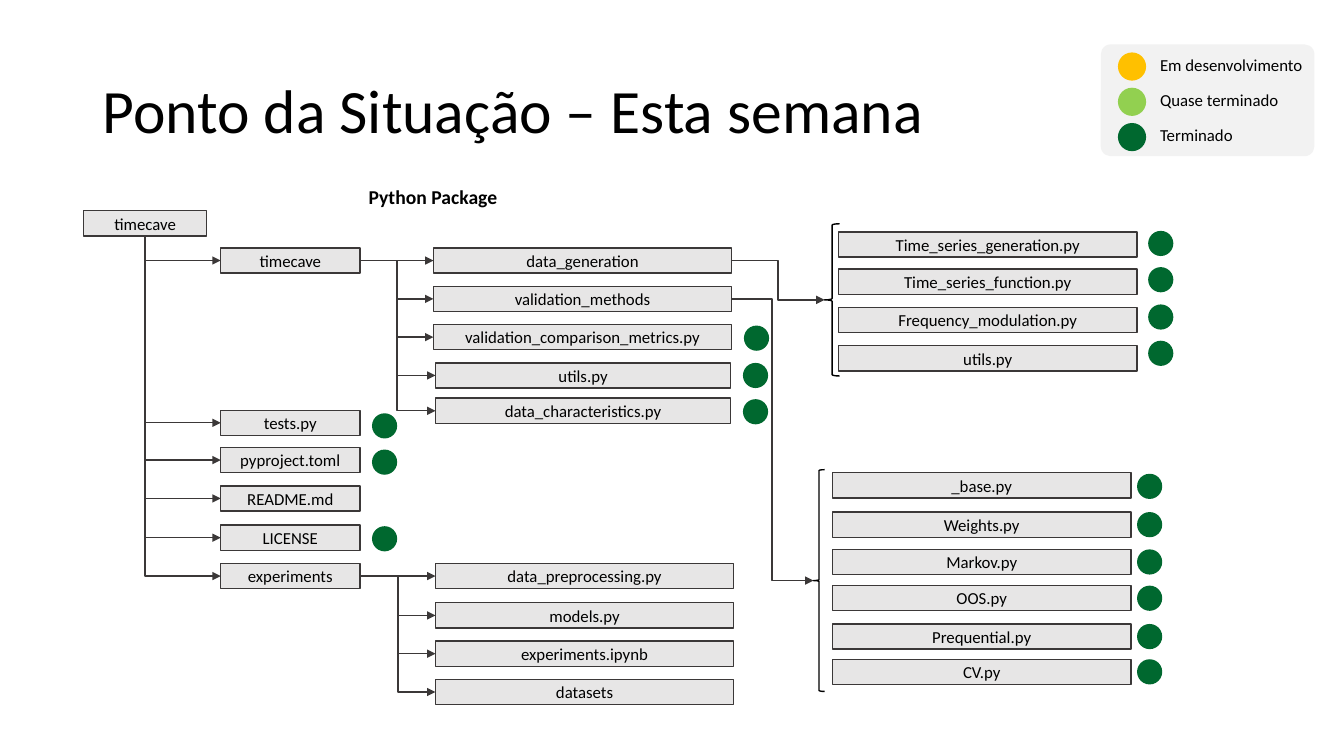
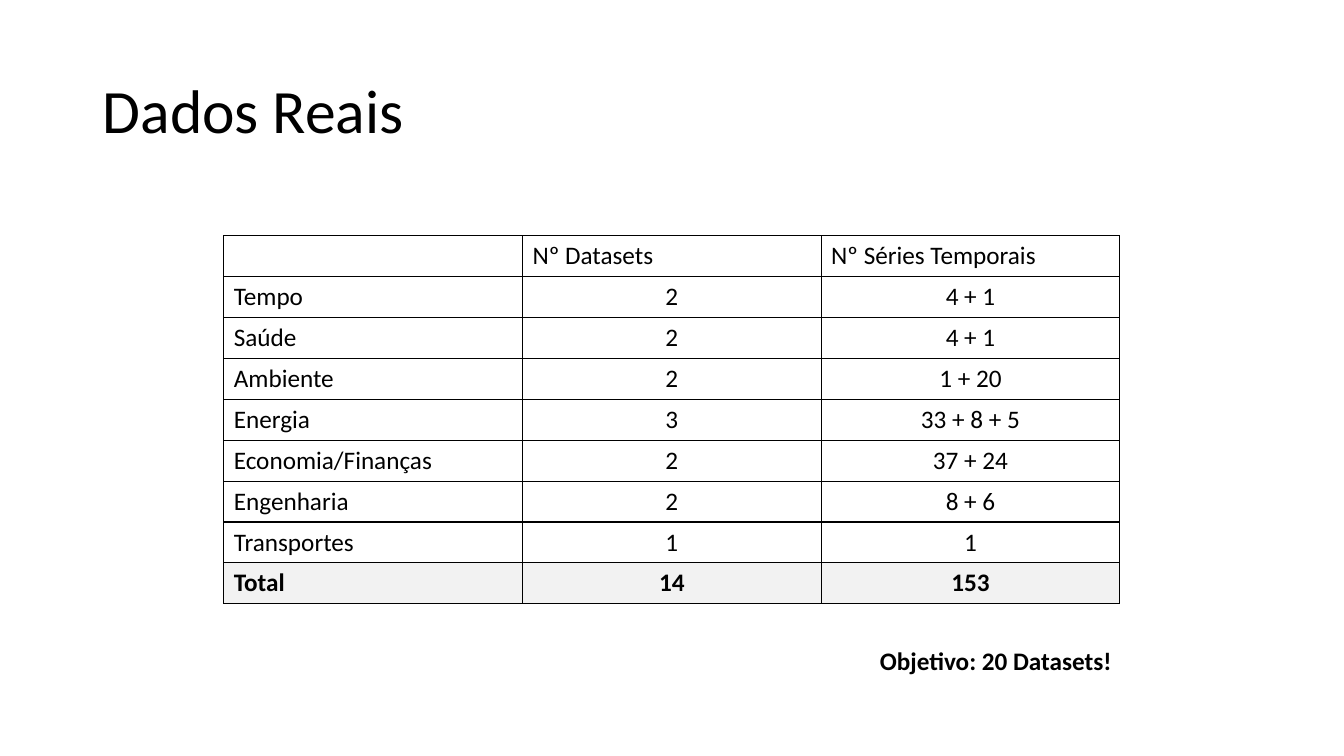
from lxml import etree
from pptx import Presentation
from pptx.dml.color import RGBColor
from pptx.enum.shapes import MSO_CONNECTOR, MSO_SHAPE
from pptx.enum.text import MSO_ANCHOR, PP_ALIGN
from pptx.oxml.ns import qn
from pptx.util import Inches, Pt

RECTANGLE, ROUNDED = MSO_SHAPE.RECTANGLE, MSO_SHAPE.ROUNDED_RECTANGLE
OVAL, LEFT_BRACE = MSO_SHAPE.OVAL, MSO_SHAPE.LEFT_BRACE
STRAIGHT, ELBOW = MSO_CONNECTOR.STRAIGHT, MSO_CONNECTOR.ELBOW
LEFT, CENTER = PP_ALIGN.LEFT, PP_ALIGN.CENTER
MIDDLE, TOP = MSO_ANCHOR.MIDDLE, MSO_ANCHOR.TOP
LEFT_SIDE, BOTTOM_SIDE, RIGHT_SIDE = 1, 2, 3

FONT = "Calibri"
BLACK = RGBColor(0x00, 0x00, 0x00)
OUTLINE = RGBColor(0x3B, 0x38, 0x38)
FILE_FILL = RGBColor(0xE7, 0xE6, 0xE6)
PANEL = RGBColor(0xF2, 0xF2, 0xF2)
IN_PROGRESS = RGBColor(0xFF, 0xC0, 0x00)
ALMOST_DONE = RGBColor(0x92, 0xD0, 0x50)
DONE = RGBColor(0x00, 0x68, 0x2F)

# All lengths are in cells of a square grid, ten to the inch.
CELL = Inches(0.1)
SLIDE_COLS, SLIDE_ROWS = 133.33, 75
TITLE_BOX = (9.2, 4, 115, 14.5)
FILE_HEIGHT = DOT_SIZE = 2.5
SCRIPT_WIDTH = 29.6

LEGEND = [("Em desenvolvimento", IN_PROGRESS),
          ("Quase terminado", ALMOST_DONE),
          ("Terminado", DONE)]

# Files: label, row offset and, when finished, row offset of the status dot.
ROOT = [("timecave", 0, None)]
TOP_LEVEL = [("timecave", 0, None), ("tests.py", 16.1, 16.4),
             ("pyproject.toml", 19.8, 20), ("README.md", 23.6, None),
             ("LICENSE", 27.5, 27.6), ("experiments", 31.3, None)]
MODULES = [("data_generation", 0, None), ("validation_methods", 3.8, None),
           ("validation_comparison_metrics.py", 7.6, 7.7)]
HELPERS = [("utils.py", 0, 0), ("data_characteristics.py", 3.5, 3.6)]
EXPERIMENTS = [("data_preprocessing.py", 0, None), ("models.py", 3.9, None),
               ("experiments.ipynb", 7.7, None), ("datasets", 11.5, None)]
GENERATION = [("Time_series_generation.py", 0, -0.1),
              ("Time_series_function.py", 3.7, 3.5),
              ("Frequency_modulation.py", 7.5, 7.2), ("utils.py", 11.3, 10.8)]
VALIDATION = [("_base.py", 0, 0.1), ("Weights.py", 3.9, 3.9),
              ("Markov.py", 7.6, 7.6), ("OOS.py", 11.2, 11.2),
              ("Prequential.py", 15, 15), ("CV.py", 18.5, 18.5)]

DATASETS = [("", "Nº Datasets", "Nº Séries Temporais"),
            ("Tempo", "2", "4 + 1"),
            ("Saúde", "2", "4 + 1"),
            ("Ambiente", "2", "1 + 20"),
            ("Energia", "3", "33 + 8 + 5"),
            ("Economia/Finanças", "2", "37 + 24"),
            ("Engenharia", "2", "8 + 6"),
            ("Transportes", "1", "1"),
            ("Total", "14", "153")]


def cells(*lengths):
    return [round(length * CELL) for length in lengths]


def write(frame, text, size, bold=False, align=LEFT):
    paragraph = frame.paragraphs[0]
    paragraph.alignment = align
    if text:
        run = paragraph.add_run()
        run.text = text
        run.font.name, run.font.size = FONT, Pt(size)
        run.font.bold, run.font.color.rgb = bold, BLACK
    return paragraph


def add_label(slide, box, text, size, bold=False, align=LEFT, anchor=TOP, wrap=False):
    frame = slide.shapes.add_textbox(*cells(*box)).text_frame
    frame.word_wrap = wrap
    frame.vertical_anchor = anchor
    return write(frame, text, size, bold, align)


def add_figure(slide, preset, box, fill=None, line=None):
    figure = slide.shapes.add_shape(preset, *cells(*box))
    figure.shadow.inherit = False
    if fill is None:
        figure.fill.background()
    else:
        figure.fill.solid()
        figure.fill.fore_color.rgb = fill
    if line is None:
        figure.line.fill.background()
    else:
        figure.line.color.rgb = line
        figure.line.width = Pt(1)
    return figure


def add_title(slide, text):
    title = add_label(slide, TITLE_BOX, text, 44, anchor=MIDDLE, wrap=True)
    title.line_spacing = 0.9


def join(slide, kind, start, start_side, end, end_side, arrow="tailEnd"):
    link = slide.shapes.add_connector(kind, start.left, start.top, end.left, end.top)
    link.begin_connect(start, start_side)
    link.end_connect(end, end_side)
    link.line.color.rgb = OUTLINE
    link.line.width = Pt(1)
    etree.SubElement(link.line._get_or_add_ln(), qn("a:" + arrow), type="triangle")
    etree.SubElement(link._element.spPr, qn("a:effectLst"))
    return link


def set_geometry(link, preset, bend=None):
    """Choose the elbow's preset and the share of its width where it bends."""
    geometry = link._element.spPr.find(qn("a:prstGeom"))
    geometry.set("prst", preset)
    if bend is not None:
        guides = geometry.find(qn("a:avLst"))
        etree.SubElement(guides, qn("a:gd"), name="adj1",
                         fmla=f"val {round(bend * 100000)}")


def fan_out(slide, parent, children, trunk):
    """Link a file to the files on its right through one vertical trunk."""
    for child in children:
        level = child.top == parent.top
        link = join(slide, STRAIGHT if level else ELBOW,
                    parent, RIGHT_SIDE, child, LEFT_SIDE)
        if not level:
            bend = (trunk * CELL - link.begin_x) / (link.end_x - link.begin_x)
            set_geometry(link, "bentConnector3", bend)


def hang_below(slide, parent, children):
    """Link a file to the files that hang from its bottom side."""
    for child in children:
        link = join(slide, ELBOW, child, LEFT_SIDE, parent, BOTTOM_SIDE, "headEnd")
        set_geometry(link, "bentConnector2")


def file_stack(slide, left, top, width, files, dot_gap=1.2):
    stack = []
    for label, row, dot_row in files:
        box = add_figure(slide, RECTANGLE, (left, top + row, width, FILE_HEIGHT),
                         FILE_FILL, OUTLINE)
        box.text_frame.word_wrap = True
        box.text_frame.vertical_anchor = MIDDLE
        write(box.text_frame, label, 12, align=CENTER)
        stack.append(box)
        if dot_row is not None:
            add_figure(slide, OVAL, (left + width + dot_gap, top + dot_row,
                                     DOT_SIZE, DOT_SIZE), DONE)
    return stack


def braced_scripts(slide, brace_box, inset, files, dot_gap):
    left, top = brace_box[0] + inset[0], brace_box[1] + inset[1]
    file_stack(slide, left, top, SCRIPT_WIDTH, files, dot_gap)
    return add_figure(slide, LEFT_BRACE, brace_box, line=BLACK)


def legend(slide, box):
    left, top, width, height = box
    panel = add_figure(slide, ROUNDED, box, PANEL)
    panel.adjustments[0] = 0.09
    for index, (status, colour) in enumerate(LEGEND):
        row = top + 0.8 + 3.5 * index
        add_figure(slide, OVAL, (left + 1.7, row, 2.8, 2.8), colour)
        add_label(slide, (left + 4.9, row - 0.3, width - 4.9, 3), status, 12)


def package_tree(slide, left, top):
    add_label(slide, (left + 27.2, top, 14.9, 3.4), "Python Package", 14,
              bold=True, align=CENTER)
    first_row = top + 6.7
    root, = file_stack(slide, left, top + 3, 12.2, ROOT)
    top_level = file_stack(slide, left + 13.6, first_row, 13.8, TOP_LEVEL)
    modules = file_stack(slide, left + 34.7, first_row, SCRIPT_WIDTH, MODULES)
    helpers = file_stack(slide, left + 34.9, first_row + 11.4, 29.3, HELPERS)
    experiments = file_stack(slide, left + 34.9, first_row + 31.3,
                             SCRIPT_WIDTH, EXPERIMENTS)
    hang_below(slide, root, top_level)
    trunk = left + 31.1
    fan_out(slide, top_level[0], modules + helpers, trunk)
    fan_out(slide, top_level[-1], experiments, trunk + 0.1)

    generation = braced_scripts(slide, (left + 73.5, top + 4.3, 1.5, 15.1),
                                (1.4, 0.8), GENERATION, 1.1)
    validation = braced_scripts(slide, (left + 72.4, top + 28.7, 1.1, 22),
                                (1.9, 0.3), VALIDATION, 0.6)
    fan_out(slide, modules[0], [generation], left + 68.9)
    fan_out(slide, modules[1], [validation], left + 68.3)


def border(cell):
    properties = cell._tc.get_or_add_tcPr()
    for index, side in enumerate(("lnL", "lnR", "lnT", "lnB")):
        line = etree.Element(qn("a:" + side), w=str(Pt(1)))
        fill = etree.SubElement(line, qn("a:solidFill"))
        etree.SubElement(fill, qn("a:srgbClr"), val=str(BLACK))
        properties.insert(index, line)


def dataset_table(slide, box):
    last = len(DATASETS) - 1
    table = slide.shapes.add_table(len(DATASETS), len(DATASETS[0]), *cells(*box)).table
    table.first_row = table.horz_banding = False
    for row, values in enumerate(DATASETS):
        for column, value in enumerate(values):
            cell = table.cell(row, column)
            if row == last:
                cell.fill.solid()
                cell.fill.fore_color.rgb = PANEL
            else:
                cell.fill.background()
            border(cell)
            write(cell.text_frame, value, 18, bold=row == last,
                  align=CENTER if row and column else LEFT)


def status_slide(slide):
    add_title(slide, "Ponto da Situação – Esta semana")
    legend(slide, (109.2, 4.4, 21.2, 11.1))
    package_tree(slide, 8.3, 17.9)


def data_slide(slide):
    add_title(slide, "Dados Reais")
    dataset_table(slide, (22.2, 23.4, 88.9, 36.5))
    add_label(slide, (86.3, 63.5, 25.2, 4), "Objetivo: 20 Datasets!", 18, bold=True)


def main():
    deck = Presentation()
    deck.slide_width, deck.slide_height = cells(SLIDE_COLS, SLIDE_ROWS)
    blank = deck.slide_layouts[6]
    for build in (status_slide, data_slide):
        build(deck.slides.add_slide(blank))
    deck.save("out.pptx")


if __name__ == "__main__":
    main()
